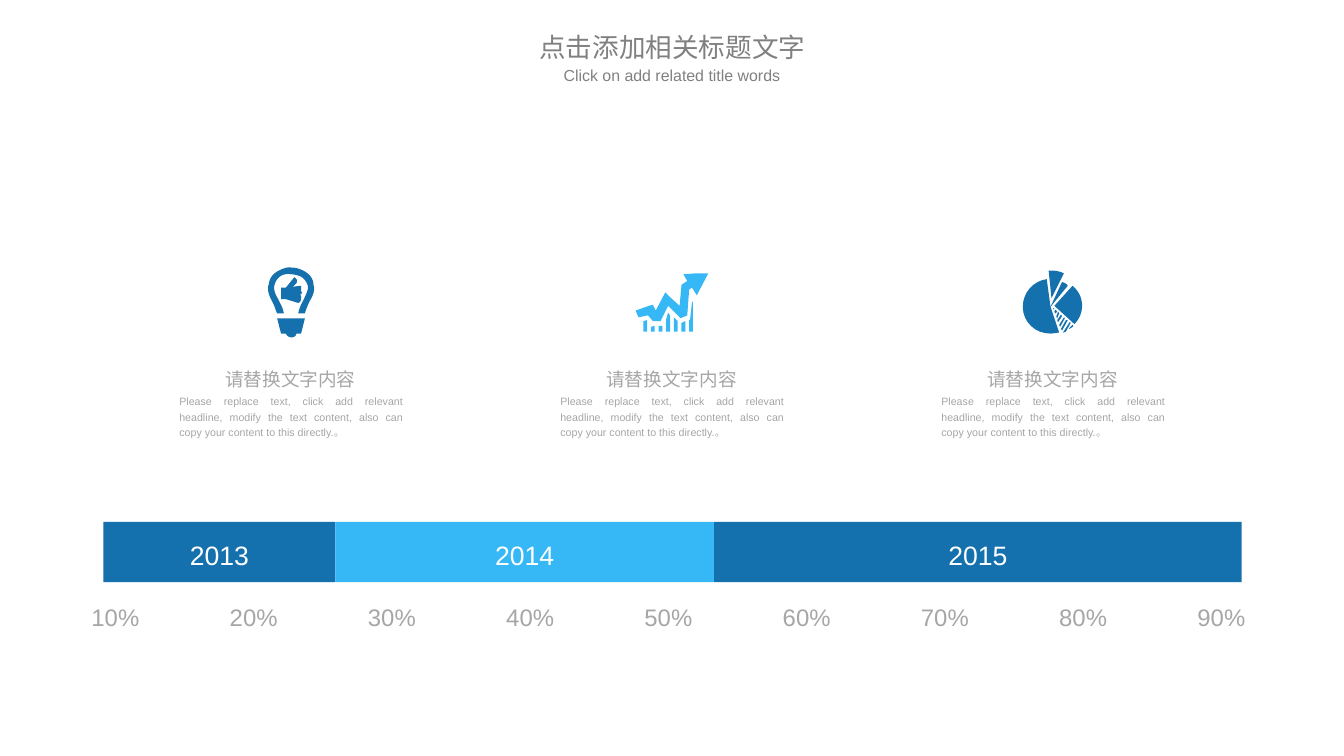
import pptx
import pptx.dml.color
import pptx.enum.shapes
import pptx.enum.text
import pptx.oxml.ns
import pptx.util
from lxml import etree

Pt = pptx.util.Pt
RGBColor = pptx.dml.color.RGBColor
ALIGN = pptx.enum.text.PP_ALIGN
ANCHOR = pptx.enum.text.MSO_ANCHOR

DARK_BLUE = RGBColor(0x14, 0x71, 0xAE)
LIGHT_BLUE = RGBColor(0x36, 0xB8, 0xF6)
GREY = RGBColor(0xA6, 0xA6, 0xA6)
TITLE_GREY = RGBColor(0x80, 0x80, 0x80)
WHITE = RGBColor(0xFF, 0xFF, 0xFF)
LATIN_FONT = "Arial"
CJK_FONT = "Noto Sans CJK SC"

HEADING = "请替换文字内容"
BODY = ("Please replace text, click add relevant headline, modify the text "
        "content, also can copy your content to this directly.。")

# Icon contours: pairs are corners, sextuples are Bezier curves
BULB = [
    [(11, 54), (40, 54), (36, 70), (31, 70), (31, 72, 29, 74, 26, 74),
     (23, 74, 21, 72, 20, 70), (15, 70)],
    [(36, 20), (36, 26), (37, 27), (36, 29), (35, 29), (36, 31), (36, 33),
     (35, 34), (36, 34), (35, 37), (33, 38), (20, 34), (15, 34), (15, 22),
     (20, 22), (29, 11), (35, 15, 30, 19, 27, 21)],
    [(11, 49), (18, 49), (17, 43, 14, 38, 12, 34), (9, 29, 7, 24, 8, 20),
     (9, 15, 12, 11, 16, 9), (19, 8, 22, 7, 26, 8), (29, 8, 32, 9, 35, 10),
     (39, 12, 42, 16, 43, 20), (44, 24, 41, 29, 39, 34),
     (37, 38, 34, 43, 33, 49), (40, 49), (41, 45, 43, 40, 45, 36),
     (48, 31, 51, 25, 49, 19), (49, 12, 44, 7, 38, 4), (34, 2, 30, 1, 26, 1),
     (22, 0, 17, 2, 13, 4), (7, 7, 3, 11, 2, 19), (0, 25, 3, 31, 6, 37),
     (8, 40, 9, 45, 11, 49)],
]
ARROW = [(76, 0), (64, 23), (59, 15), (56, 17), (54, 44), (47, 47), (34, 34),
         (26, 50), (18, 50), (13, 44), (3, 46), (0, 39), (14, 34), (18, 33),
         (21, 39), (31, 20), (35, 24), (46, 34), (48, 12), (54, 8), (50, 1),
         (63, 0)]
BAR_TOPS = [
    [(12, 49), (8, 50)],
    [(20, 55), (16, 56)],
    [(28, 55), (24, 55)],
    [(36, 44), (34, 41), (32, 48)],
    [(44, 50), (40, 46)],
    [(52, 50), (48, 52)],
    [(60, 30), (59, 30), (57, 48), (56, 49)],
]
GROWTH = [ARROW] + [[(top[-1][0], 61), (top[0][0], 61)] + top
                    for top in BAR_TOPS]
PIE = [
    [(52, 16), (58, 21, 62, 28, 62, 37), (62, 44, 59, 51, 54, 56), (33, 37)],
    [(53, 58), (52, 59, 50, 61, 48, 61), (52, 57)],
    [(45, 64), (50, 55), (49, 54), (42, 65)],
    [(41, 63), (47, 52), (45, 52), (40, 61)],
    [(39, 59), (44, 50), (43, 49), (38, 57)],
    [(37, 54), (41, 48), (40, 46), (36, 52)],
    [(36, 50), (38, 45), (37, 43), (35, 48)],
    [(34, 45), (36, 43), (34, 41), (33, 43)],
    [(32, 41), (32, 39), (33, 40)],
    [(41, 12), (29, 38), (25, 9), (11, 11, 0, 23, 0, 38),
     (0, 54, 13, 66, 29, 66), (32, 66, 36, 65, 38, 65), (29, 38), (47, 16),
     (46, 14, 44, 13, 41, 12)],
    [(30, 0), (27, 0), (30, 29), (43, 3), (39, 1, 34, 0, 30, 0)],
]


def place(sp, left, top, width, height):
    box = {"left": left, "top": top, "width": width, "height": height}
    for name, value in box.items():
        setattr(sp, name, Pt(value))


def write(sp, text, size, color, align, spacing=1.2, font=LATIN_FONT,
          **frame):
    tf = sp.text_frame
    for name, value in frame.items():
        setattr(tf, name, value)
    p = tf.paragraphs[0]
    for name, value in {"alignment": align, "line_spacing": spacing,
                        "space_before": Pt(0)}.items():
        setattr(p, name, value)
    r = p.add_run()
    r.text = text
    for name, value in {"size": Pt(size), "name": font}.items():
        setattr(r.font, name, value)
    r.font.color.rgb = color
    ea = etree.SubElement(r.font._element, pptx.oxml.ns.qn("a:ea"))
    ea.set("typeface", CJK_FONT)


def add_text(s, box, text, size, color=GREY, align=ALIGN.JUSTIFY, wrap=True,
             **options):
    sp = s.shapes.add_textbox(*(Pt(v) for v in box))
    write(sp, text, size, color, align, word_wrap=wrap, **options)


def paint(sp, color):
    sp.shadow.inherit = False
    sp.fill.solid()
    sp.fill.fore_color.rgb = color
    sp.line.fill.background()


def add_band(s, left, right, year, color):
    sp = s.shapes.add_shape(pptx.enum.shapes.MSO_SHAPE.RECTANGLE, Pt(left),
                            Pt(393.1), Pt(right - left), Pt(45.4))
    paint(sp, color)
    write(sp, year, 20, WHITE, ALIGN.CENTER, vertical_anchor=ANCHOR.MIDDLE)


def flatten(contour, steps=8):
    points = []
    for item in contour:
        if len(item) == 2:
            points.append(item)
            continue
        controls = [points[-1], item[0:2], item[2:4], item[4:6]]
        for i in range(1, steps + 1):
            t = i / steps
            weights = ((1 - t) ** 3, 3 * t * (1 - t) ** 2,
                       3 * t * t * (1 - t), t ** 3)
            points.append(tuple(sum(w * c[axis] for w, c
                                    in zip(weights, controls))
                                for axis in (0, 1)))
    return points


def add_icon(s, left, top, contours, color):
    unit = Pt(0.72)
    detail = 100  # sub-units keep curves smooth
    outlines = [[(x * detail, y * detail) for x, y in flatten(c)]
                for c in contours]
    builder = s.shapes.build_freeform(*outlines[0][0], scale=unit / detail)
    for i, points in enumerate(outlines):
        if i:
            builder.move_to(*points[0])
        builder.add_line_segments(points[1:], close=True)
    paint(builder.convert_to_shape(Pt(left), Pt(top)), color)


def main():
    prs = pptx.Presentation()
    prs.slide_width, prs.slide_height = Pt(1012.32), Pt(569.52)
    s = prs.slides.add_slide(prs.slide_layouts[5])

    # Title and subtitle
    title = s.shapes.title
    place(title, 386, 19.5, 241, 29.5)
    write(title, "点击添加相关标题文字", 20, TITLE_GREY, ALIGN.CENTER, 1,
          CJK_FONT, vertical_anchor=ANCHOR.TOP,
          auto_size=pptx.enum.text.MSO_AUTO_SIZE.NONE)
    add_text(s, (414.7, 46.1, 183, 29.5), "Click on add related title words",
             12, TITLE_GREY, ALIGN.CENTER, spacing=1)

    # Icons
    add_icon(s, 200.9, 200.9, BULB, DARK_BLUE)
    add_icon(s, 478.8, 205.9, GROWTH, LIGHT_BLUE)
    add_icon(s, 770.4, 203.8, PIE, DARK_BLUE)

    # Heading and body under each icon
    for i in range(3):
        left = 128 + 287 * i
        add_text(s, (left + 34.6, 270, 113.8, 26), HEADING, 14, wrap=False)
        add_text(s, (left, 292.3, 182.9, 42.5), BODY, 8)

    # Year bands
    edges = [77.8, 252.7, 537.8, 935.3]
    colors = [DARK_BLUE, LIGHT_BLUE, DARK_BLUE]
    for i, color in enumerate(colors):
        add_band(s, edges[i], edges[i + 1], str(2013 + i), color)

    # Percentage scale
    for i in range(9):
        add_text(s, (61.8 + 104.13 * i, 446.4, 51.1, 31), f"{10 * (i + 1)}%",
                 18, wrap=False)

    prs.save("out.pptx")


if __name__ == "__main__":
    main()
